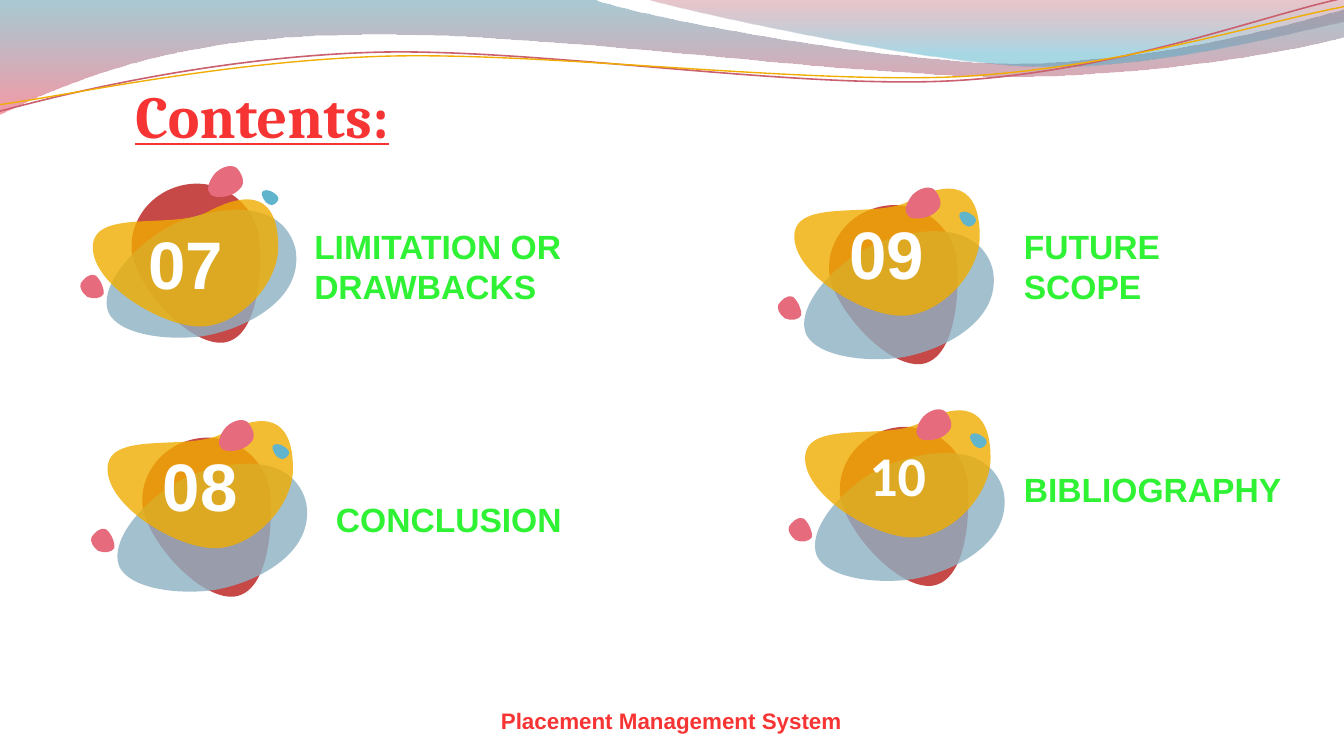
"""Build the contents slide with four numbered blob badges."""
from dataclasses import dataclass

from lxml import etree
from pptx import Presentation
from pptx import util as u
from pptx.dml.color import RGBColor
from pptx.enum import text
from pptx.oxml.ns import qn


@dataclass(frozen=True)
class Theme:
    white: str = "FFFFFF"
    heading: str = "F73434"
    label: str = "30F235"
    red: str = "C64847"
    blue: str = "8DB1C4"
    amber: str = "F0AD00"
    pink: str = "E66C7D"
    aqua: str = "60B5CC"
    rose: str = "CA5F6E"
    body: str = "Arial"
    serif: str = "Cambria"
    plain: str = "Calibri"
    title_size: int = 32
    number_size: int = 36
    small_number_size: int = 30
    label_size: int = 18
    footer_size: int = 12


THEME = Theme()
UNIT = 0.0254
CURVE_STEPS = 16

BADGE_PARTS = {
    "red": (THEME.red, 100, [
        (0, 50), (3, 76, 42, 120, 68, 118), (94, 115, 97, 66, 95, 41),
        (92, 16, 69, -3, 43, 0), (17, 3, -2, 25, 0, 50)]),
    "blue": (THEME.blue, 80, [
        (-17, 96), (-9, 112, 26, 117, 54, 113), (83, 108, 128, 87, 122, 49),
        (119, 34, 103, 7, 44, 25), (12, 34, -27, 73, -17, 96)]),
    "face": (THEME.amber, 80, [
        (-26, 23), (-26, 51, 25, 82, 54, 82), (82, 82, 112, 51, 112, 23),
        (112, -6, 100, -25, 59, -3), (33, 10, -26, -6, -26, 23)]),
    "petal": (THEME.pink, 100, [
        (59, 8), (62, 11, 75, 10, 80, 4), (86, -1, 81, -9, 78, -12),
        (74, -15, 67, -13, 62, -8), (57, -2, 55, 5, 59, 8)]),
    "seed": (THEME.pink, 100, [
        (-21, 82), (-20, 79, -23, 71, -27, 68), (-32, 66, -36, 71, -38, 74),
        (-39, 77, -37, 81, -33, 84), (-28, 86, -23, 85, -21, 82)]),
    "drop": (THEME.aqua, 100, [
        (97, 6), (96, 8, 99, 14, 102, 15), (105, 17, 108, 14, 109, 12),
        (110, 10, 108, 8, 105, 6), (102, 4, 98, 4, 97, 6)]),
}

WAVES = [
    ([(0, "3F899E", 45), (1, "EE445B", 55)], 270, [
        (0, 0), (440, -1), (476, 13, 664, 47, 758, 47),
        (853, 47, 958, 19, 1000, 7), (1001, 27),
        (983, 33, 870, 57, 746, 57), (622, 56, 382, 21, 257, 26),
        (129, 27, 46, 62, -1, 85), (0, 0)]),
    ([(0.2, "41AAC7", 45), (1, "B84152", 30)], 90, [
        (479, -1), (509, 8, 682, 46, 769, 49), (856, 52, 961, 24, 1000, 16),
        (1000, 0), (479, -1)]),
]

STRANDS = [
    (THEME.rose, 0.85, [
        (-1, 83), (47, 70, 157, 43, 276, 39), (395, 35, 591, 67, 711, 60),
        (832, 53, 938, 12, 998, -1)]),
    (THEME.amber, 0.75, [
        (-1, 78), (46, 72, 163, 46, 283, 42), (402, 38, 596, 63, 716, 57),
        (835, 50, 941, 16, 1000, 5)]),
]

BADGES = [
    ("07", (98, 137), (-3, 24), THEME.body, THEME.number_size),
    ("08", (106, 326), (0, 0), THEME.body, THEME.number_size),
    ("09", (617, 153), (0, 0), THEME.body, THEME.number_size),
    ("10", (625, 318), (0, 0), THEME.plain, THEME.small_number_size),
]

LOW = {"anchor": text.MSO_ANCHOR.BOTTOM, "insets": (0.25, 0.5, 0.25, 0)}
LABELS = [
    ("LIMITATION OR DRAWBACKS", (5.69, 3.76, 8.99, 2.03), LOW),
    ("CONCLUSION", (6.1, 8.92, 7.39, 1.27), LOW),
    ("FUTURE SCOPE", (19.1, 4.14, 5, 1.78), {}),
    ("BIBLIOGRAPHY", (19.1, 8.74, 5.99, 1.02), {}),
]


def write(box, words, *, size, color, font=THEME.body, underline=None,
          align=text.PP_ALIGN.LEFT, anchor=text.MSO_ANCHOR.TOP,
          insets=(0.25, 0.13, 0.25, 0.13), fit=text.MSO_AUTO_SIZE.NONE):
    frame = box.text_frame
    frame.word_wrap = True
    frame.auto_size = fit
    frame.vertical_anchor = anchor
    (frame.margin_left, frame.margin_top,
     frame.margin_right, frame.margin_bottom) = map(u.Cm, insets)
    para = frame.paragraphs[0]
    para.alignment = align
    span = para.add_run()
    span.text = words
    span.font.name = font
    span.font.size = u.Pt(size)
    span.font.bold = True
    span.font.underline = underline
    span.font.color.rgb = RGBColor.from_string(color)


def bounds(segments):
    points = [segments[0][-1]]
    for segment in segments[1:]:
        if len(segment) == 1:
            points += segment
            continue
        corners = [points[-1], *segment]
        for step in range(1, CURVE_STEPS + 1):
            t = step / CURVE_STEPS
            weights = ((1 - t) ** 3, 3 * t * (1 - t) ** 2, 3 * t * t * (1 - t), t ** 3)
            points.append(tuple(
                round(sum(w * v for w, v in zip(weights, axis))) for axis in zip(*corners)))
    xs, ys = zip(*points)
    return min(xs), min(ys), max(xs) - min(xs), max(ys) - min(ys)


def bend(shape, segments):
    left, top, width, height = bounds(segments)
    shape.left, shape.top, shape.width, shape.height = left, top, width, height
    track = next(shape._element.spPr.iter(qn("a:path")))
    track.set("w", str(width))
    track.set("h", str(height))
    for command, segment in zip(list(track), segments):
        name = "a:cubicBezTo" if len(segment) == 3 else command.tag
        step = etree.Element(qn(name) if ":" in name and "{" not in name else name)
        for x, y in segment:
            etree.SubElement(step, qn("a:pt"), x=str(x - left), y=str(y - top))
        track.replace(command, step)


def fade(shape, opacities):
    colors = shape._element.spPr.iter(qn("a:srgbClr"))
    for color, opacity in zip(colors, opacities):
        if opacity < 100:
            etree.SubElement(color, qn("a:alpha"), val=str(opacity * 1000))


class Painter:
    """Hold the style and the current slide."""

    def __init__(self, theme, page):
        self.theme = theme
        self.page = page

    def outline(self, rows, shift=(0, 0), closed=True):
        segments = [
            [(u.Cm((x + shift[0]) * UNIT), u.Cm((y + shift[1]) * UNIT))
             for x, y in zip(row[::2], row[1::2])] for row in rows]
        ends = [segment[-1] for segment in segments]
        builder = self.page.shapes.build_freeform(*ends[0])
        builder.add_line_segments(ends[1:], close=closed)
        shape = builder.convert_to_shape()
        bend(shape, segments)
        shape.shadow.inherit = False
        shape.line.fill.background()
        return shape

    def wave(self, stops, angle, rows):
        shape = self.outline(rows)
        shape.fill.gradient()
        shape.fill.gradient_angle = angle
        for stop, (position, color, _) in zip(shape.fill.gradient_stops, stops):
            stop.position = position
            stop.color.rgb = RGBColor.from_string(color)
        fade(shape, [opacity for _, _, opacity in stops])

    def strand(self, color, width, rows):
        shape = self.outline(rows, closed=False)
        shape.fill.background()
        shape.line.color.rgb = RGBColor.from_string(color)
        shape.line.width = u.Pt(width)

    def badge(self, number, corner, nudge, font, size):
        for name, (color, opacity, rows) in BADGE_PARTS.items():
            dx, dy = nudge if name == "face" else (0, 0)
            shape = self.outline(rows, (corner[0] + dx, corner[1] + dy))
            shape.fill.solid()
            shape.fill.fore_color.rgb = RGBColor.from_string(color)
            fade(shape, [opacity])
            if name == "face":
                write(shape, number, size=size, color=self.theme.white, font=font,
                      align=text.PP_ALIGN.CENTER, anchor=text.MSO_ANCHOR.MIDDLE,
                      insets=(0.1,) * 4)

    def title(self, words, place):
        box = self.page.shapes.title
        box.left, box.top, box.width, box.height = map(u.Cm, place)
        write(box, words, size=self.theme.title_size, color=self.theme.heading,
              font=self.theme.serif, underline=True)

    def label(self, words, place, **style):
        write(self.page.shapes.add_textbox(*map(u.Cm, place)), words, **style)


deck = Presentation()
deck.slide_width, deck.slide_height = u.Cm(25.4), u.Cm(14.29)
painter = Painter(THEME, deck.slides.add_slide(deck.slide_layouts[5]))
for wave in WAVES:
    painter.wave(*wave)
for strand in STRANDS:
    painter.strand(*strand)
painter.title("Contents:", (2.31, 1.35, 23.09, 3.15))
for badge in BADGES:
    painter.badge(*badge)
for words, place, style in LABELS:
    painter.label(words, place, size=THEME.label_size, color=THEME.label,
                  fit=text.MSO_AUTO_SIZE.SHAPE_TO_FIT_TEXT, **style)
painter.label("Placement Management System", (8.41, 13.23, 8.56, 0.76),
              size=THEME.footer_size, color=THEME.heading, align=text.PP_ALIGN.CENTER)
deck.save("out.pptx")
